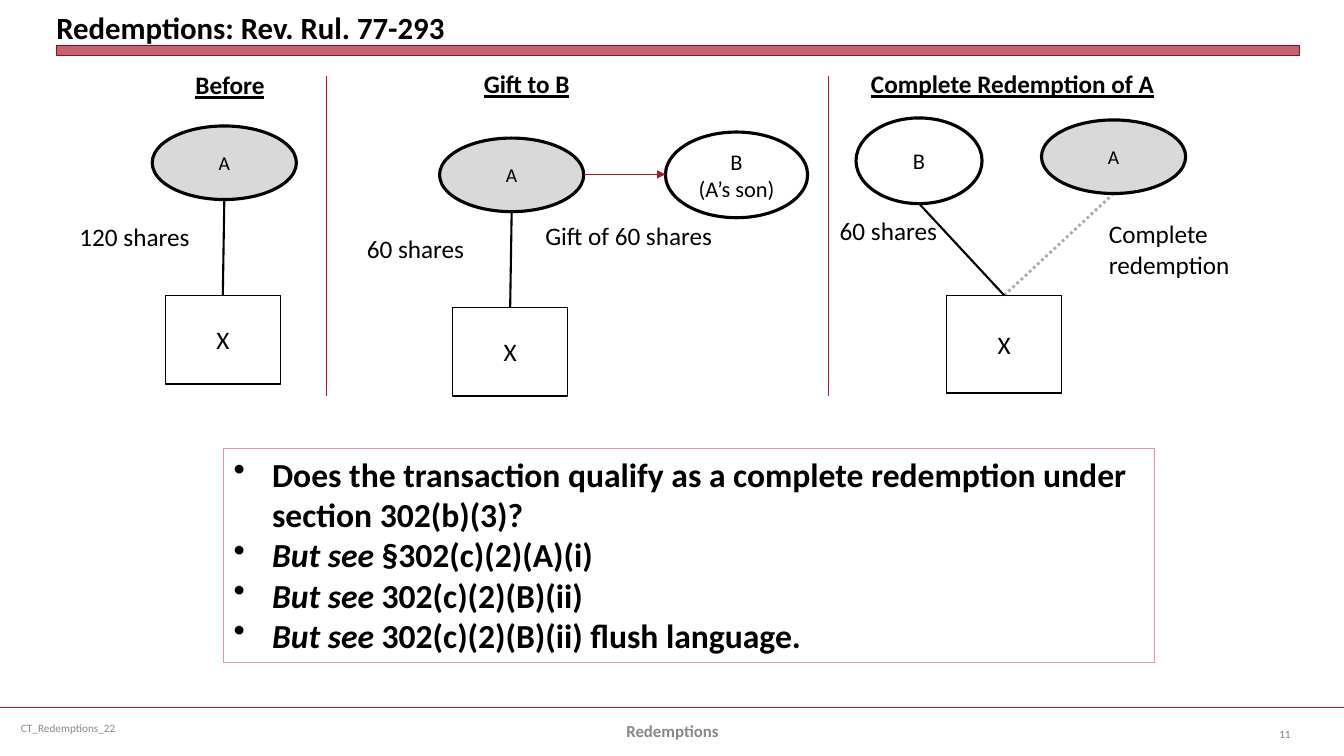
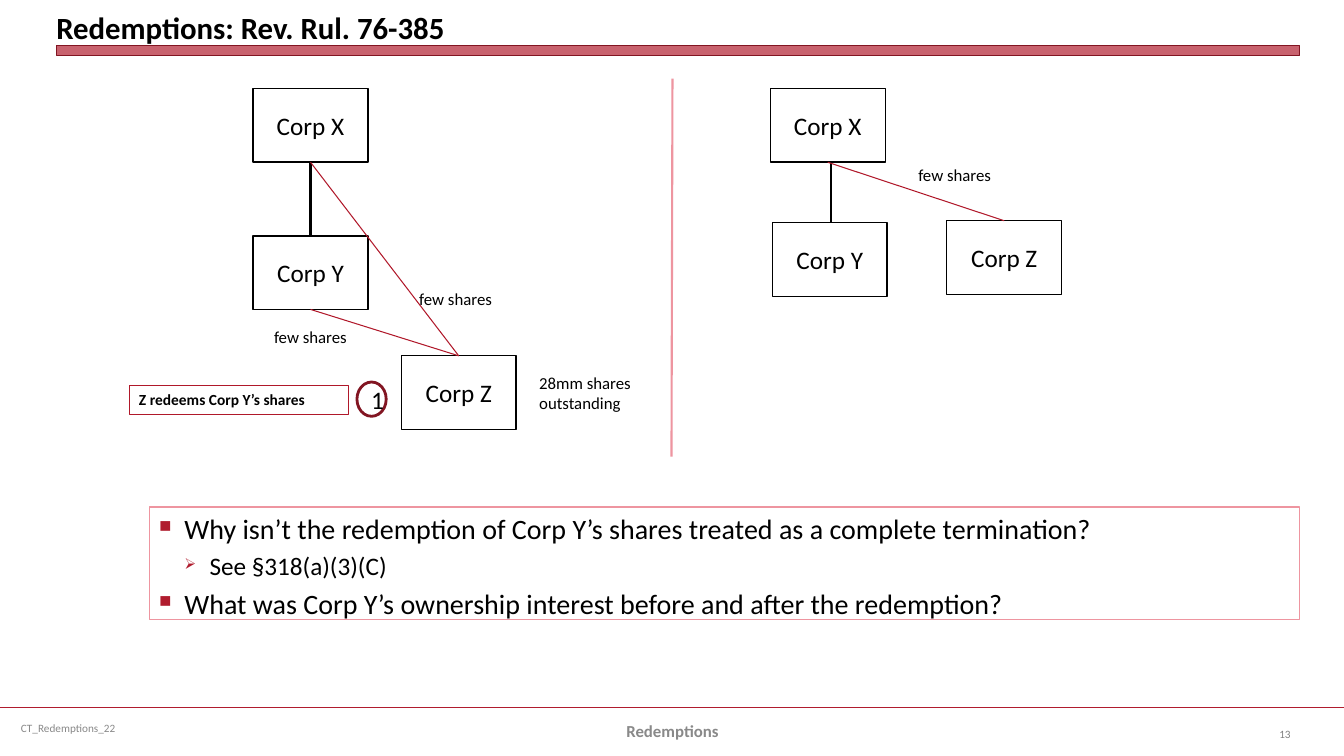
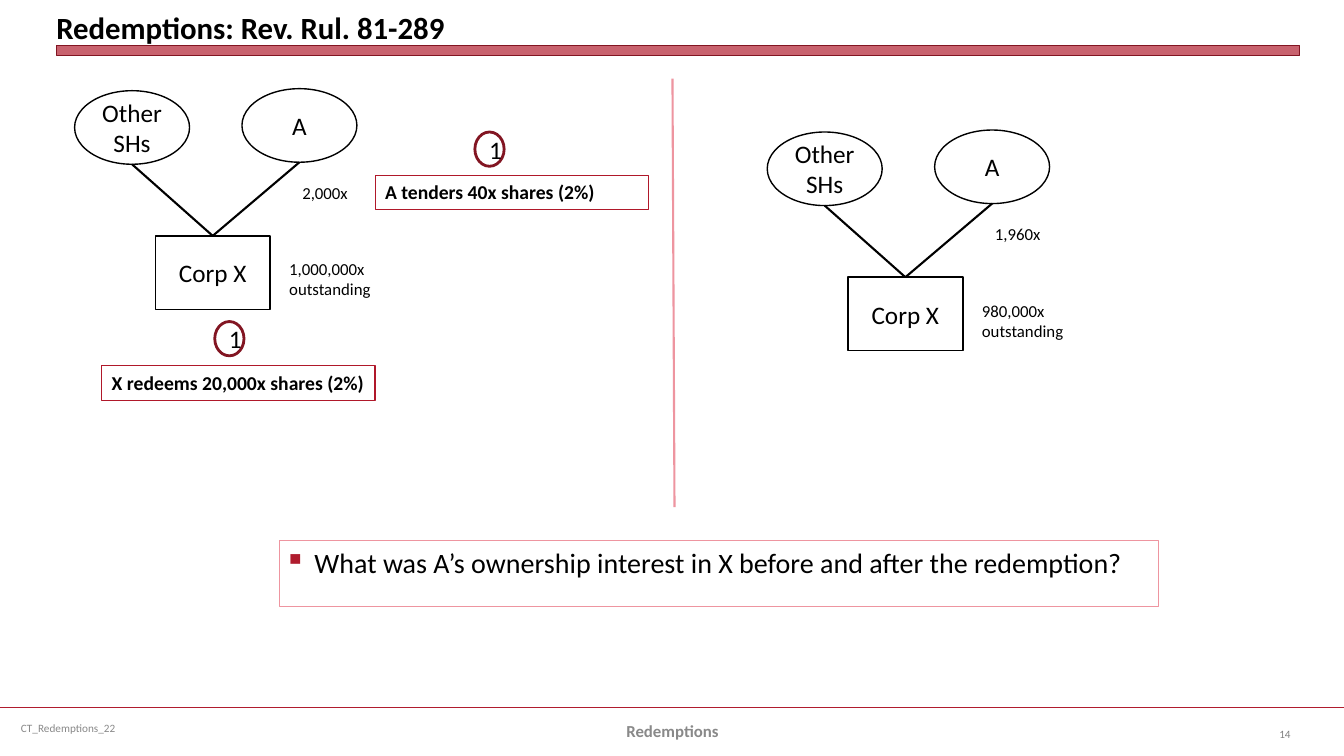
from lxml import etree
from pptx import Presentation
from pptx.dml.color import RGBColor
from pptx.enum import dml, shapes, text
from pptx.oxml import ns
from pptx.util import Emu, Inches, Pt

FONT = "Calibri"
BLACK = "000000"
GREY = "D9D9D9"
FOOTER = "898989"
PAGE_NUMBER = "808080"
CRIMSON = "B01C2E"
RED = "B0182A"
DARK_RED = "821522"
PINK = "EE95A0"

RECT = shapes.MSO_SHAPE.RECTANGLE
OVAL = shapes.MSO_SHAPE.OVAL
LEFT, CENTER, RIGHT = text.PP_ALIGN.LEFT, text.PP_ALIGN.CENTER, text.PP_ALIGN.RIGHT
TOP, MIDDLE, BOTTOM = text.MSO_ANCHOR.TOP, text.MSO_ANCHOR.MIDDLE, text.MSO_ANCHOR.BOTTOM

NODE = (1.14, 0.73)
OWNER = (1.43, 0.73)


def color(value):
    """Turn a hex string into a colour."""
    return RGBColor.from_string(value)


def add_element(parent, tag, **attributes):
    """Append a DrawingML element to a parent."""
    return etree.SubElement(parent, ns.qn(tag), attributes)


def set_alpha(element, percent):
    """Make the first colour in an element partly transparent."""
    hue = next(element.iter(ns.qn("a:srgbClr")))
    add_element(hue, "a:alpha", val=str(percent * 1000))


def style_font(paragraph, size, bold=False, underline=False, hue=BLACK):
    """Set the font of a whole paragraph."""
    font = paragraph.font
    font.name, font.size, font.bold = FONT, Pt(size), bold
    font.underline = underline
    font.color.rgb = color(hue)


def write(frame, words, size, align=LEFT, **style):
    """Fill a text frame, one paragraph a line."""
    frame.text = words
    for paragraph in frame.paragraphs:
        paragraph.alignment = align
        style_font(paragraph, size, **style)


def add_text(slide, box, words, size, anchor=MIDDLE, **style):
    """Add a wrapping text box."""
    shape = slide.shapes.add_textbox(*map(Inches, box))
    frame = shape.text_frame
    frame.word_wrap = True
    frame.vertical_anchor = anchor
    write(frame, words, size, **style)
    return shape


def add_label(slide, left, top, width, words, size=18, **style):
    """Add a caption that grows with its text and does not wrap."""
    height = 0.4 if size == 18 else 0.3 + 0.2 * words.count("\n")
    box = (left, top, width, height)
    frame = add_text(slide, box, words, size, anchor=TOP, **style).text_frame
    frame.word_wrap = False
    frame.auto_size = text.MSO_AUTO_SIZE.SHAPE_TO_FIT_TEXT


def add_heading(slide, left, top, width, words):
    """Add the underlined heading of a stage."""
    add_label(slide, left, top, width, words, bold=True, underline=True)


def add_outline(slide, kind, box, line, weight, fill=None):
    """Add a preset shape with an outline and an optional fill."""
    shape = slide.shapes.add_shape(kind, *map(Inches, box))
    shape.shadow.inherit = False
    if fill:
        shape.fill.solid()
        shape.fill.fore_color.rgb = color(fill)
    else:
        shape.fill.background()
    shape.line.color.rgb = color(line)
    shape.line.width = Pt(weight)
    return shape


def add_node(slide, kind, left, top, words, dims=NODE, size=18, weight=1, fill=None):
    """Add a corporation or a shareholder."""
    shape = add_outline(slide, kind, (left, top, *dims), BLACK, weight, fill)
    write(shape.text_frame, words, size, CENTER)
    return shape


def add_owner_a(slide, left, top):
    """Add the shaded shareholder A."""
    return add_node(slide, OVAL, left, top, "A", OWNER, 14, 2.25, GREY)


def add_step(slide, left, top):
    """Add the ring with the step number."""
    ring = add_outline(slide, OVAL, (left, top, 0.29, 0.34), DARK_RED, 2)
    write(ring.text_frame, "1", 18, CENTER)


def add_action(slide, box, words, size):
    """Add a framed description of a step."""
    frame = add_outline(slide, RECT, box, RED, 0.75).text_frame
    frame.vertical_anchor = TOP
    write(frame, words, size, bold=True)


def add_line(slide, start, end, hue=BLACK, weight=1.5):
    """Add a straight line between two points given as lengths."""
    line = slide.shapes.add_connector(shapes.MSO_CONNECTOR.STRAIGHT, *start, *end)
    line.line.color.rgb = color(hue)
    line.line.width = Pt(weight)
    add_element(line._element.spPr, "a:effectLst")
    return line


def add_rule(slide, start, end, hue=RED, weight=0.75):
    """Add a line between two points in inches."""
    return add_line(slide, tuple(map(Inches, start)), tuple(map(Inches, end)), hue, weight)


def add_link(slide, upper, lower, hue=BLACK, weight=1.5):
    """Join the bottom of one node to the top of another."""
    start = (Emu(upper.left + upper.width // 2), Emu(upper.top + upper.height))
    end = (Emu(lower.left + lower.width // 2), lower.top)
    return add_line(slide, start, end, hue, weight)


def add_bullet(paragraph, mark, left, hang, hue=None, percent=100):
    """Give a paragraph a hanging bullet."""
    properties = paragraph._p.get_or_add_pPr()
    properties.set("marL", str(Inches(left)))
    properties.set("indent", str(-Inches(hang)))
    if hue:
        add_element(add_element(properties, "a:buClr"), "a:srgbClr", val=hue)
    add_element(properties, "a:buSzPct", val=str(percent * 1000))
    add_element(properties, "a:buChar", char=mark)


def add_panel(slide, box):
    """Add the pink frame for discussion points and return its text frame."""
    frame = add_outline(slide, RECT, box, PINK, 0.75).text_frame
    frame.vertical_anchor = TOP
    return frame


def next_paragraph(frame, index):
    """Return the first paragraph, or a new one after it."""
    return frame.add_paragraph() if index else frame.paragraphs[0]


def add_questions(slide, box, questions):
    """Add a panel of questions, each a level and its words."""
    frame = add_panel(slide, box)
    for index, (level, words) in enumerate(questions):
        paragraph = next_paragraph(frame, index)
        size = 20 - 2 * level
        add_bullet(paragraph, "■➢"[level], 0.25 + 0.25 * level, 0.25, CRIMSON, 60)
        paragraph.alignment = text.PP_ALIGN.JUSTIFY
        if index:
            paragraph.space_before = Pt(0.2 * size)
        paragraph.add_run().text = words
        style_font(paragraph, size)


def add_authorities(slide, box, points):
    """Add a panel of bold points, each an italic signal and its words."""
    frame = add_panel(slide, box)
    for index, (signal, words) in enumerate(points):
        paragraph = next_paragraph(frame, index)
        add_bullet(paragraph, "•", 0.38, 0.38)
        paragraph.alignment = LEFT
        if signal:
            run = paragraph.add_run()
            run.text = signal
            run.font.italic = True
        paragraph.add_run().text = words
        style_font(paragraph, 24, bold=True)


def add_slide(presentation, ruling, number):
    """Add a slide with its title, band and footer."""
    slide = presentation.slides.add_slide(presentation.slide_layouts[6])
    add_rule(slide, (0, 7.02), (13.33, 7.02), CRIMSON, 1.25)
    add_text(slide, (0.11, 7.02, 3.44, 0.4), "CT_Redemptions_22", 8, hue=FOOTER)
    add_text(slide, (4.56, 7.05, 4.22, 0.4), "Redemptions", 12,
             align=CENTER, bold=True, hue=FOOTER)
    add_text(slide, (12.23, 7.08, 0.67, 0.4), str(number), 8,
             align=RIGHT, hue=PAGE_NUMBER)
    band = add_outline(slide, RECT, (0.56, 0.45, 12.33, 0.1), DARK_RED, 0, CRIMSON)
    set_alpha(band._element.spPr.find(ns.qn("a:solidFill")), 69)
    title = add_text(slide, (0.56, 0.05, 12.33, 0.4), f"Redemptions: Rev. Rul. {ruling}",
                     22, anchor=BOTTOM, bold=True)
    frame = title.text_frame
    frame.margin_left = frame.margin_right = frame.margin_top = frame.margin_bottom = 0
    return slide


def add_holding(slide, left, top):
    """Add shareholder A above the corporation X that it owns."""
    owner = add_owner_a(slide, left, top)
    corporation = add_node(slide, RECT, left + 0.13, top + 1.68, "X", (1.14, 0.88))
    add_link(slide, owner, corporation)


def build_gift(presentation):
    """Build the slide on a gift followed by a redemption."""
    slide = add_slide(presentation, "77-293", 11)
    for left in (3.24, 8.22):
        add_rule(slide, (left, 0.75), (left, 3.93))

    add_heading(slide, 1.84, 0.64, 0.89, "Before")
    add_holding(slide, 1.51, 1.25)
    add_label(slide, 0.69, 2.15, 1.3, "120 shares")

    add_heading(slide, 4.7, 0.63, 1.07, "Gift to B")
    add_holding(slide, 4.36, 1.37)
    add_label(slide, 3.54, 2.27, 1.18, "60 shares")
    add_node(slide, OVAL, 6.6, 1.31, "B\n(A’s son)", (1.41, 0.85), 16, 2.25)
    arrow = add_rule(slide, (5.79, 1.73), (6.6, 1.73))
    add_element(arrow._element.spPr.find(ns.qn("a:ln")), "a:tailEnd", type="triangle")
    add_label(slide, 5.31, 2.14, 1.88, "Gift of 60 shares")

    add_heading(slide, 8.54, 0.63, 3.03, "Complete Redemption of A")
    son = add_node(slide, OVAL, 8.49, 1.17, "B", (1.25, 0.85), 16, 2.25)
    father = add_owner_a(slide, 10.33, 1.19)
    corporation = add_node(slide, RECT, 9.39, 2.93, "X", (1.14, 0.97))
    add_link(slide, son, corporation)
    redeemed = add_link(slide, father, corporation, weight=2)
    redeemed.line.dash_style = dml.MSO_LINE.ROUND_DOT
    set_alpha(redeemed._element.spPr.find(ns.qn("a:ln")), 33)
    add_label(slide, 8.23, 2.09, 1.18, "60 shares")
    add_text(slide, (10.9, 2.12, 2.23, 1.01), "Complete redemption", 18, anchor=TOP)

    add_authorities(slide, (2.22, 4.45, 9.23, 2.12), [
        ("", "Does the transaction qualify as a complete redemption under section 302(b)(3)?"),
        ("But see ", "§302(c)(2)(A)(i)"),
        ("But see ", "302(c)(2)(B)(ii)"),
        ("But see ", "302(c)(2)(B)(ii) flush language."),
    ])


def build_attribution(presentation):
    """Build the slide on the redemption of a subsidiary's shares."""
    slide = add_slide(presentation, "76-385", 13)
    add_rule(slide, (6.67, 0.78), (6.66, 4.53), PINK, 1.5)

    parent = add_node(slide, RECT, 2.51, 0.88, "Corp X")
    subsidiary = add_node(slide, RECT, 2.51, 2.34, "Corp Y")
    issuer = add_node(slide, RECT, 3.98, 3.53, "Corp Z")
    add_link(slide, parent, subsidiary)
    for holder in (parent, subsidiary):
        add_link(slide, holder, issuer, RED, 0.75)
    add_label(slide, 5.25, 3.65, 1.16, "28mm shares\noutstanding", 12)
    add_action(slide, (1.28, 3.82, 2.18, 0.29), "Z redeems Corp Y’s shares", 11)
    add_step(slide, 3.54, 3.79)

    parent = add_node(slide, RECT, 7.64, 0.88, "Corp X")
    add_node(slide, RECT, 7.66, 2.21, "Corp Y")
    issuer = add_node(slide, RECT, 9.39, 2.19, "Corp Z")
    add_rule(slide, (8.24, 1.62), (8.24, 2.2), BLACK, 1.5)
    add_link(slide, parent, issuer, RED, 0.75)

    for left, top in ((2.62, 3.19), (4.06, 2.82), (9.01, 1.59)):
        add_label(slide, left, top, 0.93, "few shares", 12)
    add_questions(slide, (1.48, 5.03, 11.41, 1.12), [
        (0, "Why isn’t the redemption of Corp Y’s shares treated as a complete termination?"),
        (1, "See §318(a)(3)(C)"),
        (0, "What was Corp Y’s ownership interest before and after the redemption?"),
    ])


def add_ownership(slide, left, top, held, outstanding):
    """Add both shareholders, their corporation and the share counts."""
    others = add_node(slide, OVAL, left, top + 0.02, "Other SHs")
    owner = add_node(slide, OVAL, left + 1.66, top, "A")
    corporation = add_node(slide, RECT, left + 0.8, top + 1.46, "Corp X")
    for holder in (others, owner):
        add_link(slide, holder, corporation)
    add_label(slide, left + 2.16, top + 0.88, 0.66, held, 12)
    add_label(slide, left + 2.03, top + 1.64, 1.02, f"{outstanding}\noutstanding", 12)


def build_tender(presentation):
    """Build the slide on a pro rata tender."""
    slide = add_slide(presentation, "81-289", 14)
    add_rule(slide, (6.67, 0.78), (6.69, 5.03), PINK, 1.5)
    add_ownership(slide, 0.74, 0.88, "2,000x", "1,000,000x")
    add_ownership(slide, 7.61, 1.29, "1,960x", "980,000x")
    add_action(slide, (1.01, 3.63, 2.71, 0.34), "X redeems 20,000x shares (2%)", 14)
    add_action(slide, (3.72, 1.74, 2.71, 0.34), "A tenders 40x shares (2%)", 14)
    add_step(slide, 4.71, 1.31)
    add_step(slide, 2.13, 3.19)
    add_questions(slide, (2.77, 5.36, 8.72, 0.66), [
        (0, "What was A’s ownership interest in X before and after the redemption?"),
    ])


def main():
    """Build and save the presentation."""
    presentation = Presentation()
    presentation.slide_width = Inches(13.33)
    presentation.slide_height = Inches(7.5)
    build_gift(presentation)
    build_attribution(presentation)
    build_tender(presentation)
    presentation.save("out.pptx")


if __name__ == "__main__":
    main()
